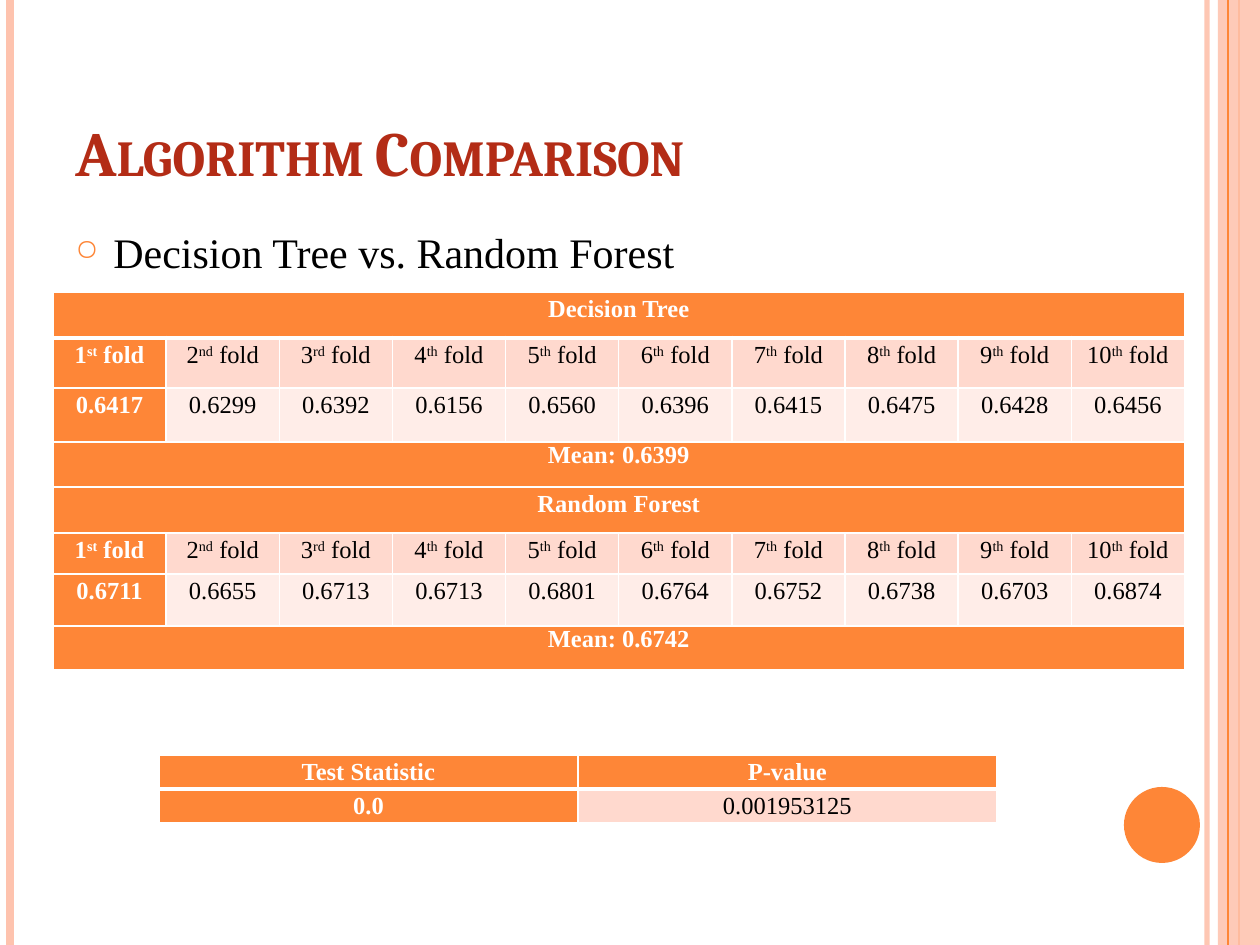
from lxml.etree import SubElement
from pptx import Presentation
from pptx.dml.color import RGBColor
from pptx.enum.shapes import MSO_CONNECTOR as Connector, MSO_SHAPE as Shape
from pptx.enum.text import MSO_ANCHOR as Anchor, PP_ALIGN as Align
from pptx.oxml.ns import qn
from pptx.util import Pt

COLORS = {
    "accent": "FE8637", "blush": "FEC3AE", "title": "B32C16", "ink": "000000",
    "white": "FFFFFF", "band": "FFD9CE", "pale": "FFEDE8",
}
SCALE = 914400 / 126
SERIF = "Times New Roman"
ORDINALS = ["st", "nd", "rd"] + ["th"] * 7
FOLDS = [(str(number), suffix, " fold") for number, suffix in enumerate(ORDINALS, 1)]
RESULTS = [
    ("Decision Tree", "0.6399", [46, 50, 54, 45],
     "0.6417 0.6299 0.6392 0.6156 0.6560 0.6396 0.6415 0.6475 0.6428 0.6456"),
    ("Random Forest", "0.6742", [46, 41, 52, 44],
     "0.6711 0.6655 0.6713 0.6713 0.6801 0.6764 0.6752 0.6738 0.6703 0.6874"),
]


def emu(*lengths):
    return [round(length * SCALE) for length in lengths]


def rgb(name):
    return RGBColor.from_string(COLORS[name])


class SlideBuilder:
    """Holds the deck and its current page, and draws each kind of element."""

    def __init__(self, width, height):
        self.deck = Presentation()
        self.deck.slide_width, self.deck.slide_height = emu(width, height)
        self.page = self.deck.slides.add_slide(self.deck.slide_layouts[6])

    def fade(self, fill_element, percent):
        color = fill_element.find(f".//{qn('a:srgbClr')}")
        SubElement(color, qn("a:alpha"), val=str(percent * 1000))

    def rule(self, x, height, color, weight, opacity=100):
        line = self.page.shapes.add_connector(Connector.STRAIGHT, *emu(x, 0, x, height))
        line.line.color.rgb = rgb(color)
        line.line.width = Pt(weight)
        properties = line._element.spPr
        if opacity < 100:
            self.fade(properties, opacity)
        SubElement(properties, qn("a:effectLst"))

    def shape(self, kind, area, color, opacity=100):
        shape = self.page.shapes.add_shape(kind, *emu(*area))
        shape.shadow.inherit = False
        shape.fill.solid()
        shape.fill.fore_color.rgb = rgb(color)
        shape.line.fill.background()
        if opacity < 100:
            self.fade(shape._element.spPr, opacity)

    def span(self, para, text, color, **formats):
        span = para.add_run()
        span.text = text
        for name, value in formats.items():
            setattr(span.font, name, value)
        span.font.color.rgb = rgb(color)
        return span.font._element

    def text(self, area, text, color, anchor=Anchor.TOP, **formats):
        box = self.page.shapes.add_textbox(*emu(*area))
        box.text_frame.word_wrap = True
        box.text_frame.vertical_anchor = anchor
        para = box.text_frame.paragraphs[0]
        return para, self.span(para, text, color, **formats)

    def bullet(self, para, indent, color):
        para.space_before = Pt(6)
        properties = para._p.get_or_add_pPr()
        margin = emu(indent)[0]
        properties.set("marL", str(margin))
        properties.set("indent", str(-margin))
        SubElement(SubElement(properties, qn("a:buClr")), qn("a:srgbClr"), val=COLORS[color])
        SubElement(properties, qn("a:buSzPct"), val="70000")
        SubElement(properties, qn("a:buChar"), char="○")

    def borders(self, cell, top, bottom):
        properties = cell._tc.get_or_add_tcPr()
        for side, weight in {"lnL": 1, "lnR": 1, "lnT": top, "lnB": bottom}.items():
            line = SubElement(properties, qn(f"a:{side}"), w=str(Pt(weight)))
            SubElement(SubElement(line, qn("a:solidFill")), qn("a:srgbClr"), val=COLORS["white"])

    def cell(self, cell, parts, fill, spacing):
        for name, value in {"margin_left": 9, "margin_right": 9,
                            "margin_top": 0, "margin_bottom": 0}.items():
            setattr(cell, name, emu(value)[0])
        cell.fill.solid()
        cell.fill.fore_color.rgb = rgb(fill)
        para = cell.text_frame.paragraphs[0]
        para.alignment = Align.CENTER
        para.line_spacing = spacing
        strong = fill == "accent"
        for index, part in enumerate(parts):
            element = self.span(para, part, "white" if strong else "ink",
                                size=Pt(14), name=SERIF, bold=strong)
            if index == 1:
                element.set("baseline", "30000")

    def table(self, left, top, width, rows):
        columns = max(len(cells) for _, cells, _, _ in rows)
        heights = [height for height, _, _, _ in rows]
        frame = self.page.shapes.add_table(
            len(rows), columns, *emu(left, top, width, sum(heights)))
        table = frame.table
        for index, (height, cells, fill, spacing) in enumerate(rows):
            table.rows[index].height = emu(height)[0]
            for column in range(columns):
                cell = table.cell(index, column)
                self.borders(cell, 3 if index == 1 else 1, 3 if index == 0 else 1)
                parts = cells[column] if column < len(cells) else ()
                self.cell(cell, parts, fill if column else "accent", spacing)
            if len(cells) == 1:
                table.cell(index, 0).merge(table.cell(index, columns - 1))


def fold_rows():
    rows = []
    for model, mean, heights, scores in RESULTS:
        contents = [
            ([(model,)], "accent", 1.15),
            (FOLDS, "band", 1.15),
            ([(score,) for score in scores.split()], "pale", 1.15),
            ([(f"Mean: {mean}",)], "accent", 1.0),
        ]
        rows += [(height, *content) for height, content in zip(heights, contents)]
    return rows


def main():
    slide = SlideBuilder(1260, 945)
    slide.rule(1207, 945, "blush", 3, 93)
    slide.rule(10, 945, "blush", 4.5)
    slide.rule(1239, 945, "accent", 1.5)
    slide.shape(Shape.RECTANGLE, (1218, 0, 42, 945), "blush", 87)
    slide.rule(1228, 945, "accent", 0.75)
    slide.shape(Shape.OVAL, (1124, 787, 76, 76), "accent")

    _, heading = slide.text((63, 38, 1029, 157), "Algorithm Comparison", "title",
                            Anchor.BOTTOM, size=Pt(36), name="Cambria", bold=True)
    heading.set("cap", "small")
    para, _ = slide.text((63, 220, 1029, 672), "Decision Tree vs. Random Forest",
                         "ink", size=Pt(24), name=SERIF)
    slide.bullet(para, 38, "accent")

    slide.table(53, 292, 1132, fold_rows())
    slide.table(159, 755, 838, [
        (31, [("Test Statistic",), ("P-value",)], "accent", 1.15),
        (31, [("0.0",), ("0.001953125",)], "band", 1.15),
    ])
    slide.deck.save("out.pptx")


if __name__ == "__main__":
    main()
